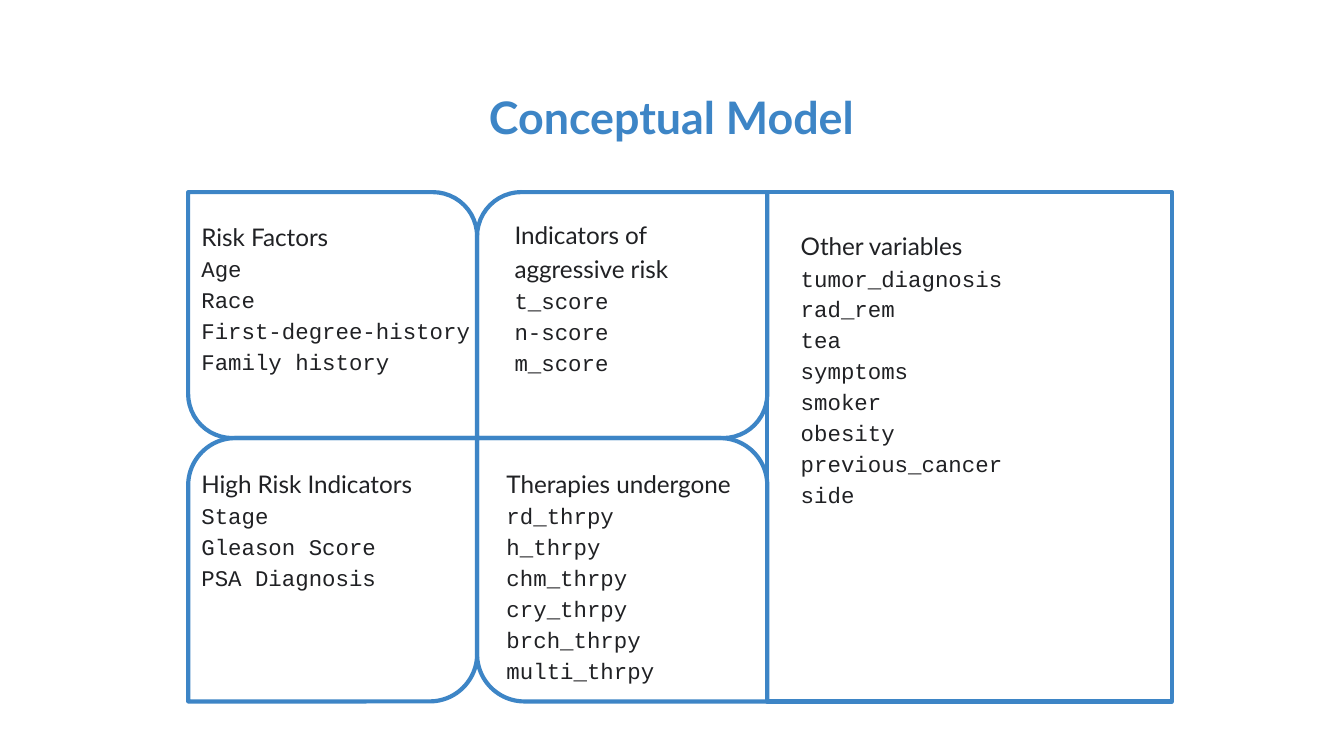
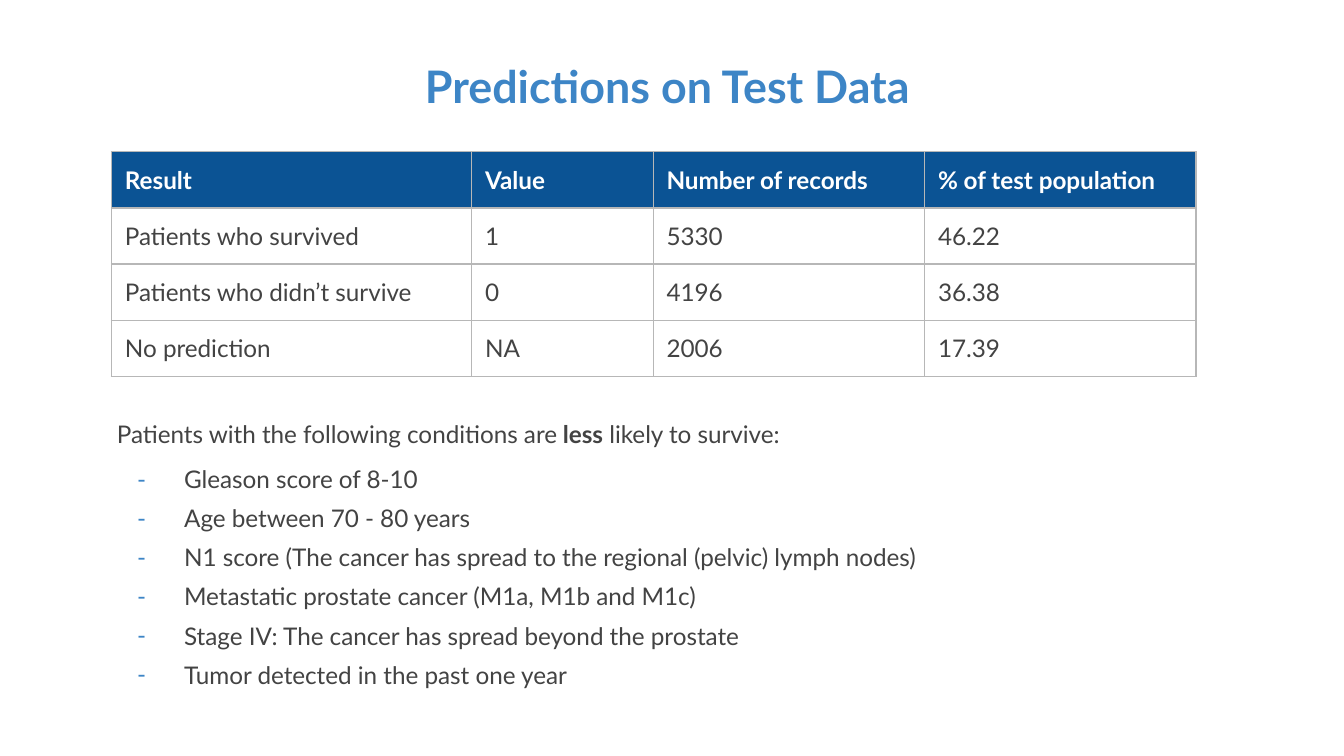
from lxml import etree
from pptx import Presentation
from pptx.dml.color import RGBColor
from pptx.enum.shapes import MSO_SHAPE
from pptx.enum.text import MSO_ANCHOR, MSO_AUTO_SIZE, PP_ALIGN
from pptx.oxml.ns import qn
from pptx.util import Inches, Pt

# Shared style
SLIDE_W = 10
SLIDE_H = SLIDE_W * 9 / 16
BLUE, NAVY, INK, GREY, RULE, WHITE = "3D85C6", "0B5394", "202124", "434343", "B7B7B7", "FFFFFF"
SANS, MONO = "Lato", "Courier New"

# Slide 1: panel grid and the lists in it
LEFT, TOP = 1.4, 1.43
COL_W, ROW_H = (2.15, 2.16, 3.01), (1.83, 1.96)
CORNER = 0.18
# column, row, row span, (top-left, top-right) corner rounding
PANELS = [
    (2, 0, 2, (0, 0)),
    (0, 0, 1, (0, CORNER)),
    (0, 1, 1, (CORNER, 0)),
    (1, 1, 1, (0, CORNER)),
    (1, 0, 1, (CORNER, 0)),
]
# left, top, width, height, heading, variables
LISTS = [
    (1.4, 1.52, 2.24, 1.71, "Risk Factors",
     ["Age", "Race", "First-degree-history", "Family history"]),
    (1.4, 3.36, 2, 1.74, "High Risk Indicators",
     ["Stage", "Gleason Score", "PSA Diagnosis"]),
    (3.73, 1.51, 1.92, 1.64, "Indicators of aggressive risk",
     ["t_score", "n-score", "m_score"]),
    (3.67, 3.36, 1.92, 1.71, "Therapies undergone",
     ["rd_thrpy", "h_thrpy", "chm_thrpy", "cry_thrpy", "brch_thrpy", "multi_thrpy"]),
    (5.86, 1.59, 2.57, 3.15, "Other variables",
     ["tumor_diagnosis", "rad_rem", "tea", "symptoms", "smoker", "obesity",
      "previous_cancer", "side"]),
]

# Slide 2: prediction results and conditions
RESULTS = [
    ("Result", "Value", "Number of records", "% of test population"),
    ("Patients who survived", "1", "5330", "46.22"),
    ("Patients who didn’t survive", "0", "4196", "36.38"),
    ("No prediction", "NA", "2006", "17.39"),
]
RESULT_COLS, RESULT_ROW = (2.68, 1.35, 2.02, 2.02), 5 / 12
INTRO = [("Patients with the following conditions are ", False), ("less", True),
         (" likely to survive:", False)]
CONDITIONS = [
    "Gleason score of 8-10",
    "Age between 70 - 80 years",
    "N1 score (The cancer has spread to the regional (pelvic) lymph nodes)",
    "Metastatic prostate cancer (M1a, M1b and M1c)",
    "Stage IV: The cancer has spread beyond the prostate",
    "Tumor detected in the past one year",
]


def rgb(color):
    return RGBColor.from_string(color)


def style(p, size, color, font=SANS, bold=False):
    for r in p.runs:
        r.font.size, r.font.name, r.font.bold = Pt(size), font, bold
        r.font.color.rgb = rgb(color)


def place(sp, left, top, width, height):
    sp.left, sp.top, sp.width, sp.height = map(Inches, (left, top, width, height))


def set_margins(target):
    target.margin_left = target.margin_right = Inches(0.1)
    target.margin_top = target.margin_bottom = Inches(0.1)


def add_slide(prs, layout, title, box):
    s = prs.slides.add_slide(prs.slide_layouts[layout])
    s.background.fill.solid()
    s.background.fill.fore_color.rgb = rgb(WHITE)
    place(s.shapes.title, *box)
    tf = s.shapes.title.text_frame
    tf.text = title
    tf.vertical_anchor = MSO_ANCHOR.BOTTOM
    tf.auto_size = MSO_AUTO_SIZE.NONE
    set_margins(tf)
    tf.paragraphs[0].alignment = PP_ALIGN.CENTER
    style(tf.paragraphs[0], 24, BLUE, bold=True)
    return s


def add_panel(shapes, col, row, span, corners):
    sp = shapes.add_shape(
        MSO_SHAPE.ROUND_2_DIAG_RECTANGLE,
        Inches(LEFT + sum(COL_W[:col])), Inches(TOP + sum(ROW_H[:row])),
        Inches(COL_W[col]), Inches(sum(ROW_H[row:row + span])))
    sp.adjustments[0], sp.adjustments[1] = corners
    sp.shadow.inherit = False
    sp.fill.background()
    sp.line.color.rgb = rgb(BLUE)
    sp.line.width = Pt(2.25)


def add_list(shapes, left, top, width, height, heading, variables):
    tf = shapes.add_textbox(*map(Inches, (left, top, width, height))).text_frame
    tf.word_wrap = True
    set_margins(tf)
    tf.text = "\n".join([heading] + variables)
    for i, p in enumerate(tf.paragraphs):
        p.line_spacing = 1.15
        style(p, 12 if i else 13, INK, MONO if i else SANS)


def set_bullet(p, char=None):
    pPr = p._p.get_or_add_pPr()
    pPr.set("marL", str(Inches(0.5) if char else 0))
    pPr.set("indent", str(Inches(-0.35) if char else 0))
    if char:
        color = etree.SubElement(pPr, qn("a:buClr"))
        etree.SubElement(color, qn("a:srgbClr"), val=BLUE)
        etree.SubElement(pPr, qn("a:buFont"), typeface=SANS)
        etree.SubElement(pPr, qn("a:buChar"), char=char)
    else:
        etree.SubElement(pPr, qn("a:buNone"))


def set_borders(cell):
    tcPr = cell._tc.get_or_add_tcPr()
    for i, side in enumerate(("lnL", "lnR", "lnT", "lnB")):
        ln = etree.Element(qn("a:" + side), w=str(Pt(0.75)))
        fill = etree.SubElement(ln, qn("a:solidFill"))
        etree.SubElement(fill, qn("a:srgbClr"), val=RULE)
        tcPr.insert(i, ln)


def add_results(s, left, top):
    table = s.shapes.add_table(
        len(RESULTS), len(RESULT_COLS), Inches(left), Inches(top),
        Inches(sum(RESULT_COLS)), Inches(RESULT_ROW * len(RESULTS))).table
    table.horz_banding = False
    for column, width in zip(table.columns, RESULT_COLS):
        column.width = Inches(width)
    for r, values in enumerate(RESULTS):
        for c, value in enumerate(values):
            cell = table.cell(r, c)
            cell.text = value
            cell.vertical_anchor = MSO_ANCHOR.MIDDLE
            set_margins(cell)
            if r == 0:
                cell.fill.solid()
                cell.fill.fore_color.rgb = rgb(NAVY)
            else:
                cell.fill.background()
            set_borders(cell)
            style(cell.text_frame.paragraphs[0], 13, GREY if r else WHITE, bold=r == 0)


def add_conditions(sp):
    place(sp, 0.77, 2.99, 8.07, 2.34)
    tf = sp.text_frame
    tf.text = "\n".join([""] + CONDITIONS)
    tf.word_wrap = True
    tf.auto_size = MSO_AUTO_SIZE.SHAPE_TO_FIT_TEXT
    tf.vertical_anchor = MSO_ANCHOR.TOP
    set_margins(tf)
    intro = tf.paragraphs[0]
    for words, _ in INTRO:
        intro.add_run().text = words
    for i, p in enumerate(tf.paragraphs):
        p.line_spacing = 1.15
        p.space_before = Pt((0, 6)[i] if i < 2 else 3)
        p.space_after = Pt(6 if i == len(CONDITIONS) else 0)
        set_bullet(p, "‐" if i else None)
        style(p, 13, GREY)
    for r, (_, bold) in zip(intro.runs, INTRO):
        r.font.bold = bold


def main():
    prs = Presentation()
    prs.slide_width, prs.slide_height = Inches(SLIDE_W), Inches(SLIDE_H)

    # Conceptual model
    s = add_slide(prs, 5, "Conceptual Model", (0.97, 0.23, 8.05, 0.94))
    model = s.shapes.add_group_shape()
    for panel in PANELS:
        add_panel(model.shapes, *panel)
    for entry in LISTS:
        add_list(model.shapes, *entry)

    # Predictions
    s = add_slide(prs, 1, "Predictions on Test Data", (0.36, 0.17, 9.21, 0.77))
    add_conditions(s.placeholders[1])
    add_results(s, 0.83, 1.13)

    prs.save("out.pptx")


if __name__ == "__main__":
    main()
